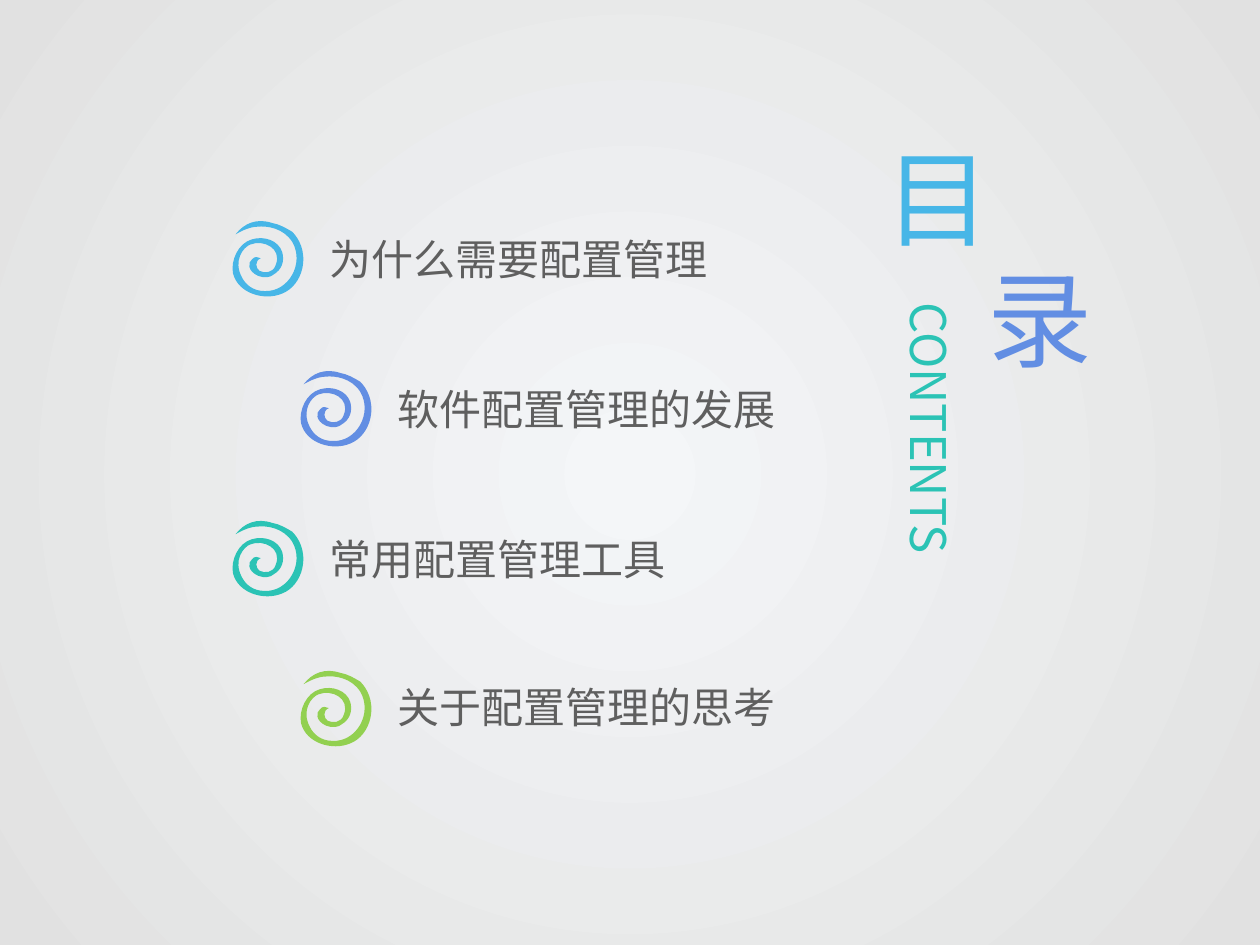
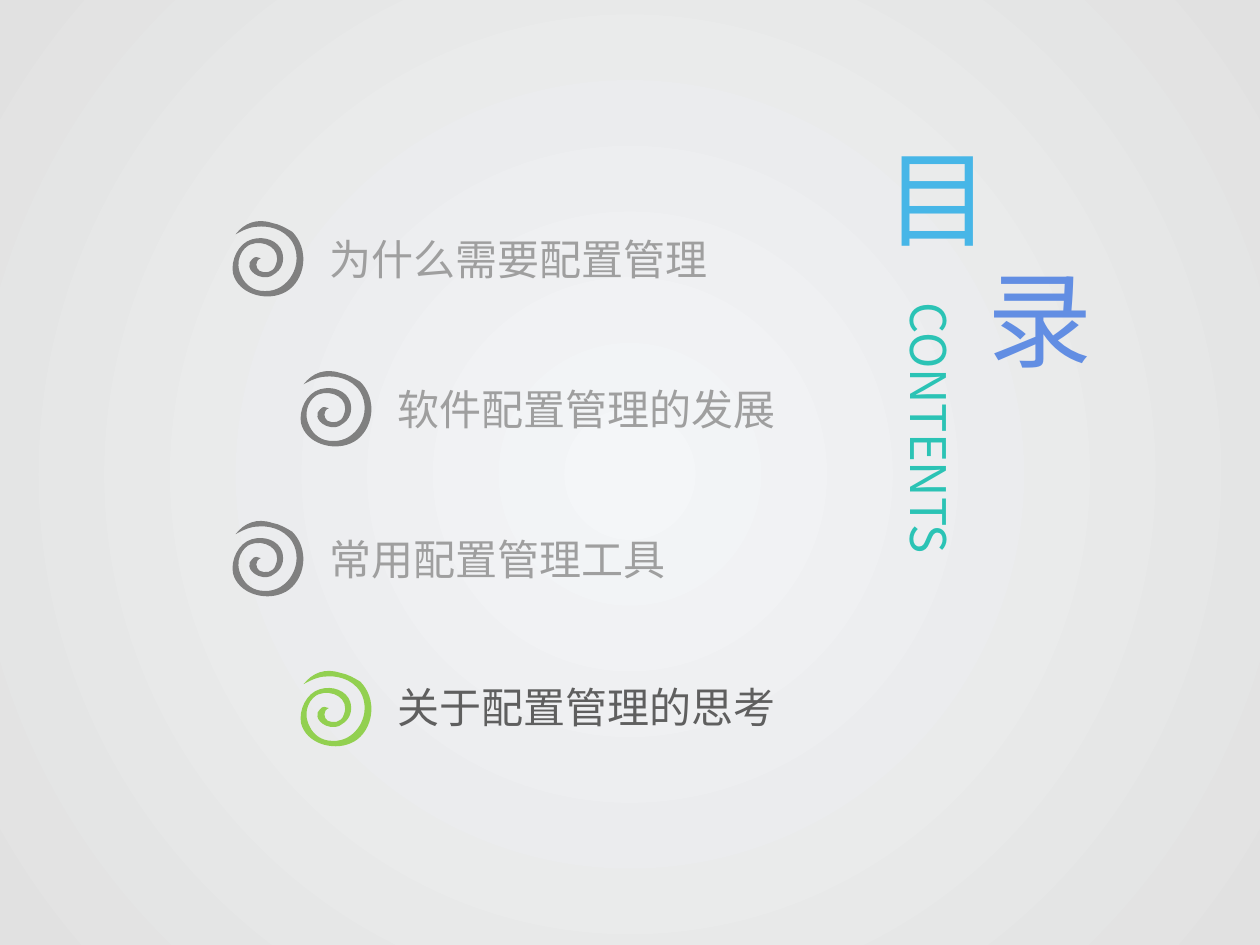
from lxml import etree
from pptx import Presentation
from pptx.dml.color import RGBColor
from pptx.enum.shapes import MSO_SHAPE
from pptx.enum.text import MSO_ANCHOR, MSO_AUTO_SIZE, PP_ALIGN
from pptx.oxml import parse_xml
from pptx.oxml.ns import nsdecls, qn
from pptx.util import Inches, Pt

RECTANGLE = MSO_SHAPE.RECTANGLE
MIDDLE = MSO_ANCHOR.MIDDLE
NO_FIT = MSO_AUTO_SIZE.NONE
LEFT, CENTER = PP_ALIGN.LEFT, PP_ALIGN.CENTER

BLUE = RGBColor(0x47, 0xB6, 0xE7)
INDIGO = RGBColor(0x62, 0x8E, 0xE3)
TEAL = RGBColor(0x2B, 0xC3, 0xB5)
GREEN = RGBColor(0x92, 0xD0, 0x50)
ICON_GRAY = RGBColor(0x80, 0x80, 0x80)
TEXT_DARK = RGBColor(0x5F, 0x5F, 0x5F)
TEXT_PALE = RGBColor(0x9F, 0x9F, 0x9F)
GLOW = RGBColor(0xF4, 0xF6, 0xF8)
EDGE = RGBColor(0xE1, 0xE1, 0xE1)

HEADING_FONT = "Noto Sans CJK JP"
ITEM_FONT = "Times New Roman"
PLACE = ("left", "top", "width", "height")

# Grid of the contents list, in inches
COLUMN_LEFT, COLUMN_STEP = 1.83, 0.54
ROW_TOP, ROW_STEP = 1.73, 1.19
LABEL_INDENT = 0.69
LABEL_SIZE = (4.01, 0.79)

# Spiral in hundredths of an inch: its frame, a start, then cubic curves
SPIRAL_WIDTH, SPIRAL_HEIGHT = 60, 65
SPIRAL_START = (24, 32)
SPIRAL_CURVES = [
    (19, 34, 20, 40, 23, 42), (27, 44, 34, 44, 36, 37),
    (41, 24, 26, 17, 16, 21), (10, 23, 2, 34, 9, 47),
    (12, 53, 18, 58, 27, 58), (46, 59, 59, 36, 49, 19),
    (42, 8, 29, 6, 21, 7), (16, 7, 9, 10, 4, 13),
    (11, 4, 21, 0, 33, 4), (39, 5, 44, 8, 49, 11),
    (54, 16, 60, 26, 57, 40), (55, 49, 49, 57, 41, 60),
    (27, 66, 6, 60, 2, 44), (0, 34, 6, 20, 17, 17),
    (27, 14, 38, 18, 41, 27), (43, 34, 41, 41, 34, 45),
    (32, 47, 27, 48, 22, 46), (13, 42, 14, 35, 17, 33),
    (19, 30, 22, 31, 24, 32),
]

# Label, icon colour, rise of the label above its icon
ITEMS = [
    ("为什么需要配置管理", BLUE, 0.07),
    ("软件配置管理的发展", INDIGO, 0.07),
    ("常用配置管理工具", TEAL, 0.07),
    ("关于配置管理的思考", GREEN, 0.09),
]
HEADINGS = [
    ("目", BLUE, (6.89, 0.97, 1.11, 1.18)),
    ("录", INDIGO, (7.7, 1.93, 1.11, 1.18)),
]
TITLE_AREA = (5.69, 3.7, 3.39, 0.79)
ACTIVE_ITEMS = [{0, 1, 2, 3}, {3}]


def write_text(box, text, font, size, color, align=LEFT, inset=0):
    """Write one formatted line, centred vertically, into a box."""
    frame = box.text_frame
    frame_format = {
        "word_wrap": True, "auto_size": NO_FIT, "vertical_anchor": MIDDLE,
        "margin_left": Inches(inset), "margin_right": Inches(inset),
        "margin_top": 0, "margin_bottom": 0,
    }
    for name, value in frame_format.items():
        setattr(frame, name, value)
    para = frame.paragraphs[0]
    para.alignment = align
    span = para.add_run()
    span.text = text
    for name, value in {"name": font, "size": Pt(size)}.items():
        setattr(span.font, name, value)
    span.font.color.rgb = color
    east_asian = etree.SubElement(span.font._element, qn("a:ea"))
    east_asian.set("typeface", HEADING_FONT)


def add_spiral(page, left, top, color):
    """Draw the spiral icon with its corner at left, top inches."""
    builder = page.shapes.build_freeform(*SPIRAL_START)
    builder.add_line_segments([curve[4:] for curve in SPIRAL_CURVES])
    spiral = builder.convert_to_shape()
    area = (left, top, SPIRAL_WIDTH / 100, SPIRAL_HEIGHT / 100)
    for name, value in zip(PLACE, area):
        setattr(spiral, name, Inches(value))

    # Curves take the place of the straight segments
    outline = spiral.element.spPr.find(".//" + qn("a:path"))
    outline.set("w", str(SPIRAL_WIDTH))
    outline.set("h", str(SPIRAL_HEIGHT))
    for segment in list(outline):
        outline.remove(segment)
    for tag, numbers in [("a:moveTo", SPIRAL_START),
                         *(("a:cubicBezTo", curve) for curve in SPIRAL_CURVES)]:
        segment = etree.SubElement(outline, qn(tag))
        for x, y in zip(numbers[::2], numbers[1::2]):
            etree.SubElement(segment, qn("a:pt"), x=str(x), y=str(y))
    etree.SubElement(outline, qn("a:close"))

    spiral.shadow.inherit = False
    spiral.fill.solid()
    spiral.fill.fore_color.rgb = color
    spiral.line.fill.background()


deck = Presentation()
deck.slide_width, deck.slide_height = Inches(10), Inches(7.5)
title_only = deck.slide_layouts[5]
pages = [deck.slides.add_slide(title_only) for active in ACTIVE_ITEMS]

# Shared backdrop: a radial glow, moved to the back of the master
backdrop = pages[0].shapes.add_shape(RECTANGLE, 0, 0, Inches(10), Inches(7.53))
backdrop.shadow.inherit = False
backdrop.line.fill.background()
backdrop.fill.gradient()
for stop, color, position in zip(backdrop.fill.gradient_stops, (GLOW, EDGE), (0, 1)):
    stop.color.rgb = color
    stop.position = position
linear = backdrop.element.spPr.find(".//" + qn("a:lin"))
linear.getparent().replace(linear, parse_xml(
    f'<a:path {nsdecls("a")} path="circle">'
    '<a:fillToRect l="50000" t="50000" r="50000" b="50000"/></a:path>'))
backdrop.element.nvSpPr.cNvPr.set("id", "99")
deck.slide_master.shapes.element.insert(2, backdrop.element)

for page, active in zip(pages, ACTIVE_ITEMS):
    corners = [(COLUMN_LEFT + row % 2 * COLUMN_STEP, ROW_TOP + row * ROW_STEP)
               for row in range(len(ITEMS))]
    for row, (left, top) in enumerate(corners):
        add_spiral(page, left, top, ITEMS[row][1] if row in active else ICON_GRAY)

    for text, color, area in HEADINGS:
        box = page.shapes.add_textbox(*map(Inches, area))
        write_text(box, text, HEADING_FONT, 60, color, CENTER)

    title = page.shapes.title
    for name, value in zip(PLACE, TITLE_AREA):
        setattr(title, name, Inches(value))
    title.rotation = 90
    write_text(title, "CONTENTS", HEADING_FONT, 28, TEAL)
    page.shapes.element.append(title.element)

    for row, (left, top) in enumerate(corners):
        text, color, rise = ITEMS[row]
        area = (left + LABEL_INDENT, top - rise, *LABEL_SIZE)
        box = page.shapes.add_textbox(*map(Inches, area))
        text_color = TEXT_DARK if row in active else TEXT_PALE
        write_text(box, text, ITEM_FONT, 24, text_color, inset=0.1)

deck.save("out.pptx")
